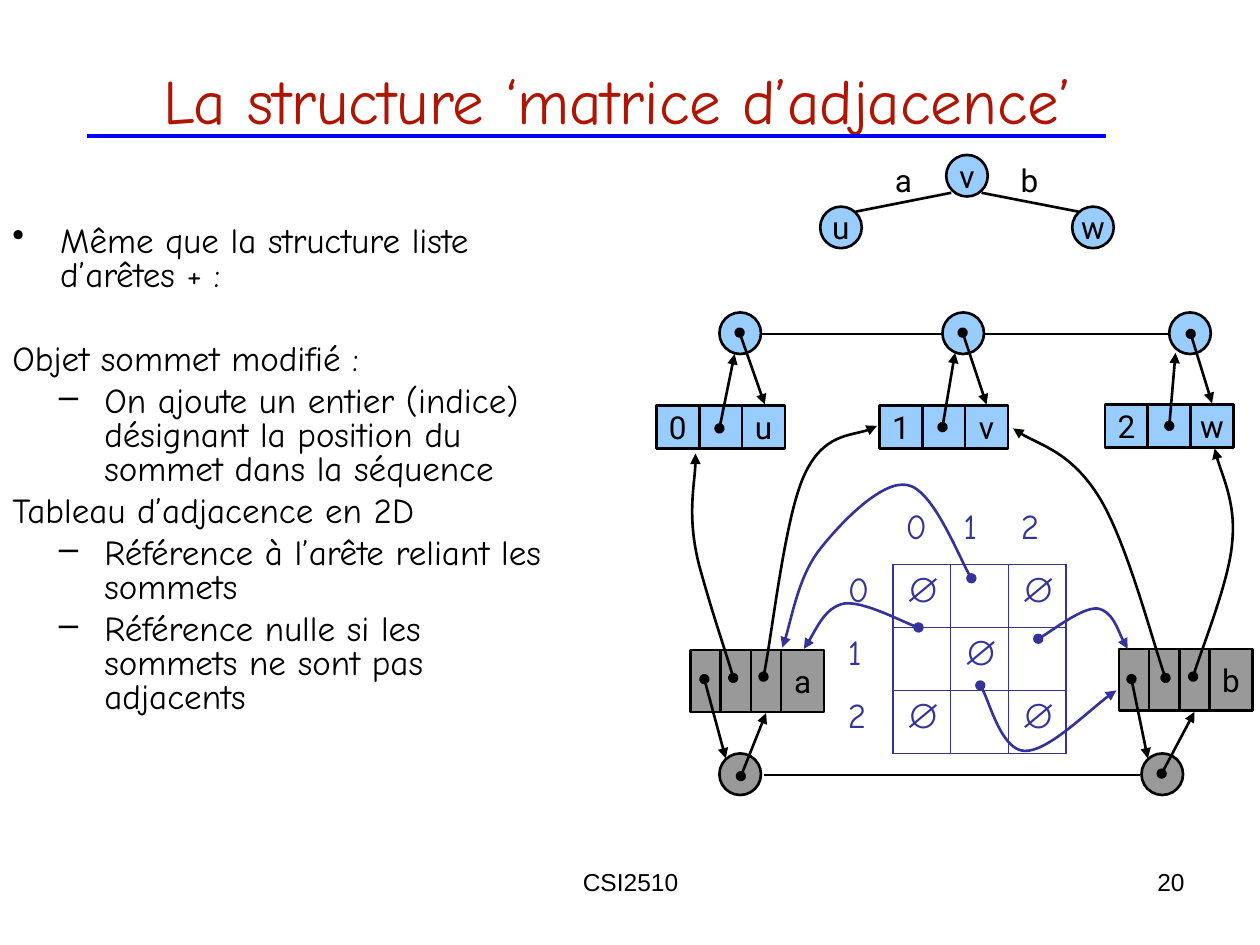
from dataclasses import dataclass

from lxml.etree import SubElement
from pptx import Presentation
from pptx.dml.color import RGBColor
from pptx.enum.shapes import MSO_CONNECTOR, MSO_SHAPE
from pptx.enum.text import MSO_ANCHOR, PP_ALIGN
from pptx.oxml.ns import qn
from pptx.util import Inches, Pt

BLACK, SKY, GRAY, INDIGO = "000000", "99CCFF", "999999", "333399"
HAND, SANS, PLAIN = "Comic Neue", "Roboto", "Arial"
CIRCLE = 0.33
EMPTY = "∅"


@dataclass
class Node:
    left: float
    top: float
    width: float
    height: float
    fill: str
    label: str = ""
    kind: MSO_SHAPE = MSO_SHAPE.RECTANGLE


@dataclass
class Link:
    start: tuple
    end: tuple
    color: str = BLACK
    width: float = 1.5
    arrow: bool = False


@dataclass
class Curve:
    points: list  # start point, then three points per cubic segment
    color: str = BLACK


@dataclass
class Item:
    text: str
    bullet: str = ""
    left: float = 0.38
    hanging: float = 0.38
    before: float = 5


def rgb(value: str) -> RGBColor:
    return RGBColor.from_string(value)


def style_runs(paragraph, font: str, size: float, color: str, bold=False) -> None:
    for run in paragraph.runs:
        run.font.name, run.font.size, run.font.bold = font, Pt(size), bold
        run.font.color.rgb = rgb(color)


def style_line(line, color: str, width: float, arrow: bool = False) -> None:
    line.color.rgb, line.width = rgb(color), Pt(width)
    if arrow:
        properties = line._get_or_add_ln()
        SubElement(properties, qn("a:headEnd"), type="oval")
        SubElement(properties, qn("a:tailEnd"), type="triangle")


def add_text(slide, box: tuple, text: str, font: str, size: float, color=BLACK,
             align=PP_ALIGN.CENTER, anchor=MSO_ANCHOR.TOP, wrap=True) -> None:
    frame = slide.shapes.add_textbox(*map(Inches, box)).text_frame
    frame.word_wrap, frame.vertical_anchor = wrap, anchor
    frame.text = text
    frame.paragraphs[0].alignment = align
    style_runs(frame.paragraphs[0], font, size, color)


def add_node(slide, node: Node) -> None:
    box = map(Inches, (node.left, node.top, node.width, node.height))
    shape = slide.shapes.add_shape(node.kind, *box)
    shape.shadow.inherit = False
    shape.fill.solid()
    shape.fill.fore_color.rgb = rgb(node.fill)
    style_line(shape.line, BLACK, 1.5)
    if node.label:
        frame = shape.text_frame
        frame.word_wrap, frame.vertical_anchor = False, MSO_ANCHOR.MIDDLE
        frame.text = node.label
        frame.paragraphs[0].alignment = PP_ALIGN.CENTER
        style_runs(frame.paragraphs[0], SANS, 18, BLACK)


def add_link(slide, link: Link) -> None:
    ends = map(Inches, (*link.start, *link.end))
    connector = slide.shapes.add_connector(MSO_CONNECTOR.STRAIGHT, *ends)
    style_line(connector.line, link.color, link.width, link.arrow)
    SubElement(connector._element.spPr, qn("a:effectLst"))


def add_curve(slide, curve: Curve) -> None:
    points = [(Inches(x), Inches(y)) for x, y in curve.points]
    builder = slide.shapes.build_freeform(*points[0])
    builder.add_line_segments(points[1:], close=False)
    shape = builder.convert_to_shape()
    # Turn every three straight segments into one cubic segment
    outline = next(shape._element.iter(qn("a:path")))
    segments = outline.findall(qn("a:lnTo"))
    for first in range(0, len(segments), 3):
        cubic = SubElement(outline, qn("a:cubicBezTo"))
        for segment in segments[first:first + 3]:
            cubic.append(segment[0])
            outline.remove(segment)
    shape.fill.background()
    shape.shadow.inherit = False
    style_line(shape.line, curve.color, 1.5, arrow=True)


def add_body(slide, items: list) -> None:
    frame = slide.shapes.add_textbox(0, Inches(1.75), Inches(4.53), Inches(4.75)).text_frame
    frame.word_wrap = True
    for index, item in enumerate(items):
        paragraph = frame.add_paragraph() if index else frame.paragraphs[0]
        paragraph.text = item.text
        paragraph.line_spacing, paragraph.space_before = 0.8, Pt(item.before)
        properties = paragraph._p.get_or_add_pPr()
        properties.set("marL", str(Inches(item.left)))
        properties.set("indent", str(-Inches(item.hanging)))
        if item.bullet:
            SubElement(properties, qn("a:buChar"), char=item.bullet)
        style_runs(paragraph, HAND, 20, BLACK)


def add_matrix(slide, rows: list) -> None:
    size = len(rows)
    box = map(Inches, (6.63, 3.98, 1.83, 2))
    table = slide.shapes.add_table(size, size, *box).table
    table.first_row = table.horz_banding = False
    for row, values in enumerate(rows):
        for column, value in enumerate(values):
            cell = table.cell(row, column)
            inside = row > 0 and column > 0
            properties = cell._tc.get_or_add_tcPr()
            for side in "LRTB":
                border = SubElement(properties, qn(f"a:ln{side}"), w=str(Pt(0.75)))
                if inside or (side == "B" and column > 0 and row == 0) or (
                        side == "R" and row > 0 and column == 0):
                    paint = SubElement(border, qn("a:solidFill"))
                    SubElement(paint, qn("a:srgbClr"), val=INDIGO)
                else:
                    SubElement(border, qn("a:noFill"))
            cell.fill.background()
            cell.text_frame.text = value
            style_runs(cell.text_frame.paragraphs[0], PLAIN if inside else HAND, 20, INDIGO, inside)


def circle(left: float, top: float, fill: str, label: str = "") -> Node:
    return Node(left, top, CIRCLE, CIRCLE, fill, label, MSO_SHAPE.OVAL)


def main() -> None:
    presentation = Presentation()
    presentation.slide_width, presentation.slide_height = Inches(10), Inches(7.5)
    slide = presentation.slides.add_slide(presentation.slide_layouts[6])

    # Title, footer and body text
    add_text(slide, (0.48, 0.16, 9, 1.25), "La structure ‘matrice d’adjacence’ ", HAND, 36,
             "AE1502", anchor=MSO_ANCHOR.MIDDLE)
    add_text(slide, (3.42, 6.83, 3.17, 0.52), "CSI2510", PLAIN, 14)
    add_text(slide, (7.17, 6.83, 2.33, 0.52), "20", PLAIN, 14, align=PP_ALIGN.RIGHT)
    dash = ("–", 0.73, 0.36)
    add_body(slide, [
        Item("Même que la structure liste d’arêtes + :", "•", before=0),
        Item("Objet sommet modifié :", before=29),
        Item("On ajoute un entier (indice) désignant la position du sommet dans la séquence", *dash),
        Item("Tableau d’adjacence en 2D"),
        Item("Référence à l’arête reliant les sommets", *dash),
        Item("Référence nulle si les sommets ne sont pas adjacents", *dash),
    ])

    # Adjacency matrix
    add_matrix(slide, [["", "0", "1", "2"], ["0", EMPTY, "", EMPTY],
                       ["1", "", EMPTY, ""], ["2", EMPTY, "", EMPTY]])

    # Small graph, then vertex and edge sequences
    nodes = [circle(6.51, 1.64, SKY, "u"), circle(7.51, 1.23, SKY, "v"), circle(8.51, 1.64, SKY, "w")]
    nodes += [circle(left, 2.48, SKY) for left in (5.71, 7.48, 9.28)]
    nodes += [circle(left, 5.98, GRAY) for left in (5.71, 9.06)]
    for left, top, labels in ((5.21, 3.22, "0 u"), (6.98, 3.22, "1 v"), (8.77, 3.21, "2 w")):
        nodes += [Node(left + 0.34 * index, top, 0.34, 0.34, SKY, label.strip())
                  for index, label in enumerate(labels)]
    for left, top, label in ((5.48, 5.16, "a"), (8.88, 5.15, "b")):
        nodes += [Node(left + 0.24 * index, top, 0.24, 0.49, GRAY) for index in range(3)]
        nodes.append(Node(left + 0.72, top, 0.34, 0.49, GRAY, label))
    for node in nodes:
        add_node(slide, node)
    for left, label in ((7, "a"), (8, "b")):
        add_text(slide, (left, 1.23, 0.34, 0.4), label, SANS, 18, wrap=False)

    # Straight lines and arrows
    links = [Link((0.69, 1.08), (8.78, 1.08), "0000FF", 2.75),
             Link((7.79, 1.53), (8.56, 1.68)), Link((7.55, 1.53), (6.79, 1.68)),
             Link((6.05, 2.65), (7.48, 2.65)), Link((7.81, 2.65), (9.27, 2.65)),
             Link((6.06, 6.15), (9.05, 6.15))]
    arrows = [((5.88, 6.16), (6.08, 5.66)), ((9.22, 6.14), (9.48, 5.65)),
              ((5.87, 2.64), (6.07, 3.21)), ((7.64, 2.64), (7.83, 3.21)),
              ((9.45, 2.65), (9.62, 3.2)), ((5.71, 3.4), (5.83, 2.81)),
              ((7.48, 3.39), (7.58, 2.8)), ((9.28, 3.38), (9.33, 2.8)),
              ((5.59, 5.39), (5.76, 6.02)), ((8.98, 5.39), (9.11, 6.02))]
    for link in links + [Link(start, end, arrow=True) for start, end in arrows]:
        add_link(slide, link)

    # Curved references: edges to vertices, then matrix cells to edges
    for curve in (
        Curve([(6.06, 5.37), (6.12, 5.1), (6.23, 4.11), (6.38, 3.78), (6.53, 3.44), (6.84, 3.46), (6.96, 3.38)]),
        Curve([(5.82, 5.38), (5.78, 5.23), (5.66, 4.89), (5.55, 4.49), (5.45, 4.1), (5.53, 3.78), (5.52, 3.6)]),
        Curve([(9.25, 5.38), (9.16, 5.14), (8.94, 4.29), (8.72, 3.94), (8.5, 3.59), (8.18, 3.51), (8.04, 3.4)]),
        Curve([(9.47, 5.37), (9.52, 5.19), (9.76, 4.6), (9.78, 4.3), (9.81, 4), (9.67, 3.71), (9.64, 3.56)]),
        Curve([(7.29, 4.98), (7.19, 4.95), (6.85, 4.77), (6.7, 4.79), (6.55, 4.82), (6.44, 5.07), (6.38, 5.15)], INDIGO),
        Curve([(7.71, 4.59), (7.63, 4.47), (7.4, 3.88), (7.2, 3.85), (7, 3.81), (6.67, 4.15), (6.5, 4.37),
               (6.34, 4.58), (6.27, 4.98), (6.21, 5.14)], INDIGO),
        Curve([(8.24, 5.07), (8.32, 5.03), (8.59, 4.82), (8.71, 4.83), (8.83, 4.85), (8.9, 5.08), (8.95, 5.15)], INDIGO),
        Curve([(7.78, 5.44), (7.84, 5.52), (7.95, 5.95), (8.13, 5.96), (8.31, 5.97), (8.7, 5.58), (8.86, 5.48)], INDIGO),
    ):
        add_curve(slide, curve)

    presentation.save("out.pptx")


if __name__ == "__main__":
    main()
